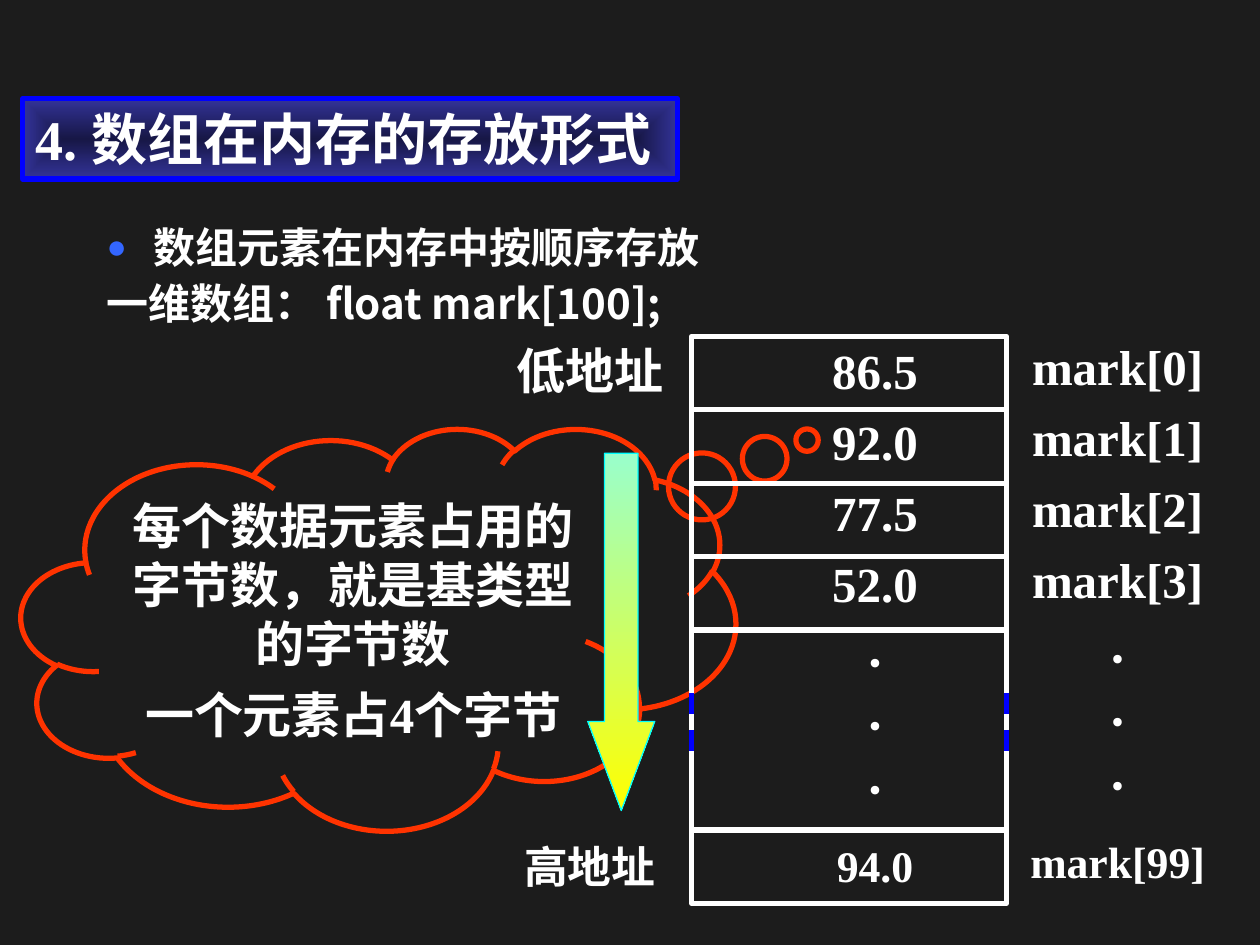
from lxml.etree import SubElement
from pptx import Presentation
from pptx.dml.color import RGBColor
from pptx.enum.dml import MSO_LINE
from pptx.enum.lang import MSO_LANGUAGE_ID
from pptx.enum.shapes import MSO_CONNECTOR, MSO_SHAPE
from pptx.enum.text import MSO_ANCHOR, PP_ALIGN
from pptx.oxml.ns import qn
from pptx.util import Cm, Pt

SERIF, DOT_FONT, HAN_FONT = "Times New Roman", "Montserrat", "Noto Sans CJK SC"

# Content
TITLE = "4. 数组在内存的存放形式"
BULLET = "数组元素在内存中按顺序存放"
DECLARATION = [("一维数组： ", SERIF), ("float mark[100];", HAN_FONT)]
CLOUD_NOTES = ["每个数据元素占用的字节数，就是基类型的字节数", "一个元素占4个字节"]
CELLS = [("86.5", "mark[0]"), ("92.0", "mark[1]"), ("77.5", "mark[2]"), ("52.0", "mark[3]")]
LAST_CELL = ("94.0", "mark[99]")
ADDRESS_LABELS = [("低地址", 28, 6.8), ("高地址", 25, 16.8)]  # text, size, top

# Memory block geometry in cm
MEM_LEFT, MEM_TOP, MEM_WIDTH, MEM_HEIGHT = 13.94, 6.78, 6.35, 11.43
ROW = 1.48
MEM_RIGHT, MEM_BOTTOM = MEM_LEFT + MEM_WIDTH, MEM_TOP + MEM_HEIGHT
COLUMNS = [(20.13, 6.65, 4.8, 1), (16.14, 6.73, 3, 0)]  # left, top, width, item

presentation = Presentation()
presentation.slide_width, presentation.slide_height = Cm(25.4), Cm(19.05)
slide = presentation.slides.add_slide(presentation.slide_layouts[6])


def rgb(value):
    return RGBColor.from_string(value)


slide.background.fill.solid()
slide.background.fill.fore_color.rgb = rgb("1C1C1C")


def add_text(frame, text, size=28, font=SERIF, before=0, align=PP_ALIGN.CENTER,
             spacing=None, hanging=0, bullet=None):
    """Write one paragraph; text is a string or a list of (text, font) runs."""
    first = frame.paragraphs[0]
    paragraph = frame.add_paragraph() if first.runs else first
    paragraph.alignment = align
    paragraph.space_before = Pt(before)
    if spacing:
        paragraph.line_spacing = spacing
    properties = paragraph._p.get_or_add_pPr()
    if hanging:
        properties.set("marL", str(Cm(hanging)))
        properties.set("indent", str(-Cm(hanging)))
    if bullet:
        color = SubElement(properties, qn("a:buClr"))
        SubElement(color, qn("a:srgbClr"), val="3366FF")
        SubElement(properties, qn("a:buSzPct"), val="80000")
        SubElement(properties, qn("a:buFont"), typeface=SERIF)
        SubElement(properties, qn("a:buChar"), char=bullet)
    for words, face in [(text, font)] if isinstance(text, str) else text:
        run = paragraph.add_run()
        run.text = words
        run.font.size, run.font.bold, run.font.name = Pt(size), True, face
        run.font.color.rgb = rgb("FFFFFF")
        run.font.language_id = MSO_LANGUAGE_ID.SIMPLIFIED_CHINESE
        SubElement(run._r.rPr, qn("a:ea"), typeface=HAN_FONT)


def add_frame(left, top, width, height, wrap=False, anchor=MSO_ANCHOR.MIDDLE):
    frame = slide.shapes.add_textbox(Cm(left), Cm(top), Cm(width), Cm(height)).text_frame
    frame.word_wrap, frame.vertical_anchor = wrap, anchor
    return frame


def add_outline(kind, left, top, width, height, color, weight=3, gradient=None, angle=0):
    shape = slide.shapes.add_shape(kind, Cm(left), Cm(top), Cm(width), Cm(height))
    shape.shadow.inherit = False
    shape.line.color.rgb, shape.line.width = rgb(color), Pt(weight)
    if gradient:
        shape.fill.gradient()
        shape.fill.gradient_angle = angle
        for stop, stop_color in zip(shape.fill.gradient_stops, gradient):
            stop.color.rgb = rgb(stop_color)
    else:
        shape.fill.background()
    return shape


def add_line(x1, y1, x2, y2, color="FFFFFF", dash=None):
    line = slide.shapes.add_connector(MSO_CONNECTOR.STRAIGHT, Cm(x1), Cm(y1), Cm(x2), Cm(y2))
    line.line.color.rgb, line.line.width = rgb(color), Pt(3)
    if dash:
        line.line.dash_style = dash
    SubElement(line._element.spPr, qn("a:effectLst"))


# Thought cloud
cloud = add_outline(MSO_SHAPE.CLOUD_CALLOUT, 0.43, 8.63, 14.4, 8.1, "FF3300")
cloud.adjustments[0], cloud.adjustments[1] = 0.6, -0.47
cloud.text_frame.vertical_anchor = MSO_ANCHOR.MIDDLE
for index, note in enumerate(CLOUD_NOTES):
    add_text(cloud.text_frame, note, before=7 if index else 0)

# Introduction
intro = add_frame(1.9, 4.45, 21.6, 2.4, wrap=True, anchor=MSO_ANCHOR.TOP)
intro_format = dict(size=24, align=PP_ALIGN.LEFT, spacing=0.9, hanging=0.95)
add_text(intro, BULLET, bullet="●", **intro_format)
add_text(intro, DECLARATION, before=6, **intro_format)

# Title, shaded from its centre outwards
banner = add_outline(MSO_SHAPE.RECTANGLE, 0.46, 1.99, 13.2, 1.62, "0000FF",
                     gradient=("171746", "333399"))
shading = banner._element.spPr.find(qn("a:gradFill"))
shading.remove(shading.find(qn("a:lin")))
center = SubElement(shading, qn("a:path"), path="rect")
SubElement(center, qn("a:fillToRect"), l="50000", t="50000", r="50000", b="50000")
banner.text_frame.word_wrap = False
banner.text_frame.vertical_anchor = MSO_ANCHOR.TOP
add_text(banner.text_frame, TITLE, size=32, align=PP_ALIGN.LEFT)

# Memory block
add_outline(MSO_SHAPE.RECTANGLE, MEM_LEFT, MEM_TOP, MEM_WIDTH, MEM_HEIGHT, "FFFFFF")
dividers = [MEM_TOP + ROW * (row + 1) for row in range(len(CELLS))]
for y in dividers + [MEM_BOTTOM - ROW]:
    add_line(MEM_LEFT, y, MEM_RIGHT, y)
for x in (MEM_LEFT, MEM_RIGHT):
    add_line(x, 13.97, x, 13.97 + ROW, "0000FF", MSO_LINE.DASH)

# Element names and values
for left, top, width, item in COLUMNS:
    column = add_frame(left, top, width, 11.38)
    for index, cell in enumerate(CELLS):
        add_text(column, cell[item], before=7 if index else 0)
    for _ in range(3):
        add_text(column, ".", size=25, font=DOT_FONT, before=6.2)
    add_text(column, LAST_CELL[item], size=25, before=20.7)

# Address labels and direction
for label, size, top in ADDRESS_LABELS:
    add_text(add_frame(9.64, top, 4.5, 1.3), label, size=size)
arrow = add_outline(MSO_SHAPE.DOWN_ARROW, 11.85, 9.14, 1.35, 7.2, "00FFFF", 0.75,
                    gradient=("99FFCC", "FFFF00"), angle=270)
arrow.adjustments[0], arrow.adjustments[1] = 0.5, 1.33

presentation.save("out.pptx")
